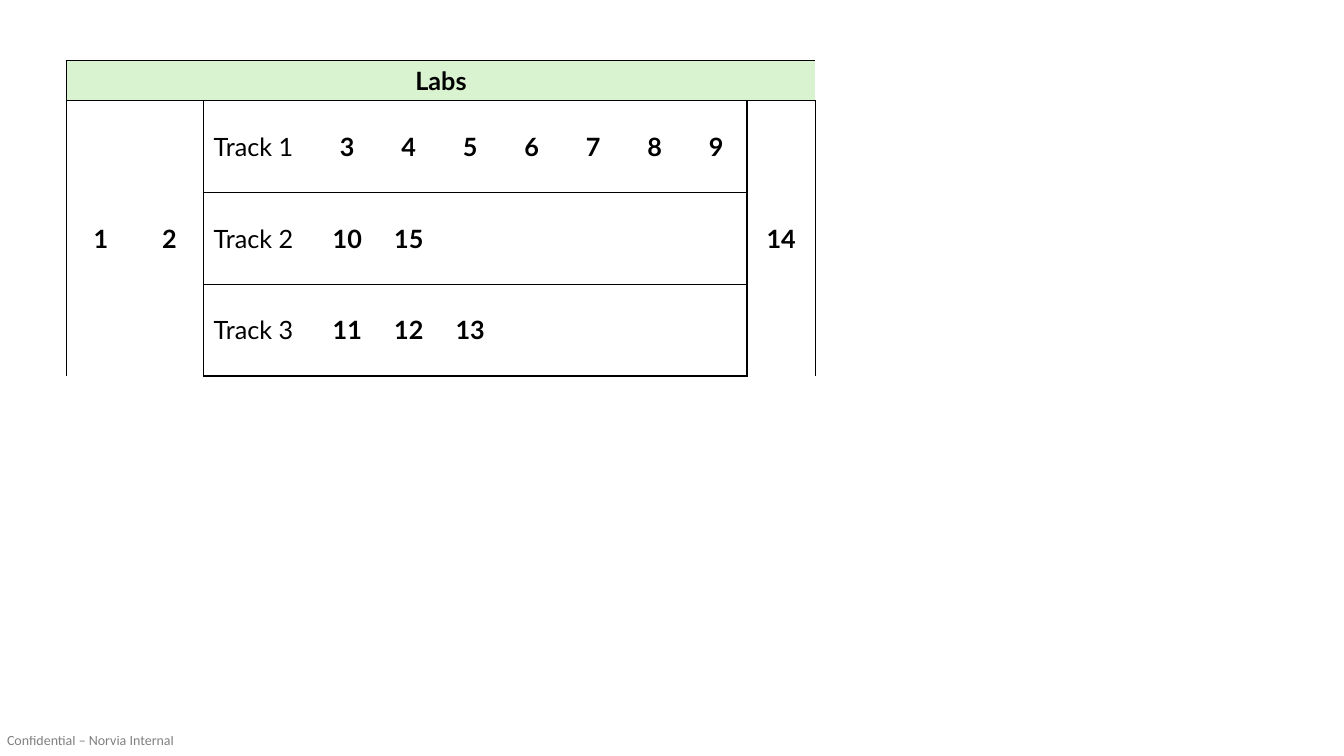
import pptx
import pptx.dml.color
import pptx.enum.text
import pptx.oxml
import pptx.oxml.ns
import pptx.util
from lxml import etree

Inches = pptx.util.Inches
Pt = pptx.util.Pt
Align = pptx.enum.text.PP_ALIGN
Anchor = pptx.enum.text.MSO_ANCHOR

BLACK, WHITE, GREEN = "000000", "FFFFFF", "D9F2D0"

COLUMN_WIDTHS = [0.68, 0.68, 1.12] + [0.61] * 7 + [0.68]
ROW_HEIGHTS = [0.4] + [0.91] * 3
TRACK_COLUMNS = range(2, 10)
LAST_ROW, LAST_COLUMN = len(ROW_HEIGHTS) - 1, len(COLUMN_WIDTHS) - 1

# Labs shared by all tracks, by column, and the labs of each track
SHARED_LABS = {0: 1, 1: 2, LAST_COLUMN: 14}
TRACK_LABS = [range(3, 10), [10, 15], [11, 12, 13]]


def color(hex_string):
    return pptx.dml.color.RGBColor.from_string(hex_string)


def cell_borders(row, column):
    """Tell which sides of a cell carry a line."""
    if row == 0:
        return {"L": column == 0, "R": column == LAST_COLUMN, "T": True, "B": True}
    in_track = column in TRACK_COLUMNS
    return {
        "L": column in (0, TRACK_COLUMNS[0], LAST_COLUMN),
        "R": column in (1, TRACK_COLUMNS[-1], LAST_COLUMN),
        "T": in_track or row == 1,
        "B": in_track or row == LAST_ROW,
    }


class SlideBuilder:
    table_font, footer_font = "Lato", "Calibri"

    def __init__(self, presentation):
        self.slide = presentation.slides.add_slide(presentation.slide_layouts[6])

    def style_run(self, run, font_name, size, bold=False):
        run.font.name = font_name
        run.font.size = Pt(size)
        run.font.bold = bold
        run.font.color.rgb = color(BLACK)

    def footer(self, text, left, top, width, height):
        box = self.slide.shapes.add_textbox(
            Inches(left), Inches(top), Inches(width), Inches(height))
        frame = box.text_frame
        frame.margin_left = frame.margin_right = 0
        frame.margin_top = frame.margin_bottom = 0
        frame.text = text
        run = frame.paragraphs[0].runs[0]
        self.style_run(run, self.footer_font, 10)
        # Half-transparent text
        fill_color = run.font.fill._xPr.find(".//" + pptx.oxml.ns.qn("a:srgbClr"))
        etree.SubElement(fill_color, pptx.oxml.ns.qn("a:alpha"), val="50000")

    def table(self, left, top):
        frame = self.slide.shapes.add_table(
            len(ROW_HEIGHTS), len(COLUMN_WIDTHS), Inches(left), Inches(top),
            Inches(sum(COLUMN_WIDTHS)), Inches(sum(ROW_HEIGHTS)))
        table = frame.table
        table.first_row = table.horz_banding = False
        for column, width in zip(table.columns, COLUMN_WIDTHS):
            column.width = Inches(width)
        for row, height in zip(table.rows, ROW_HEIGHTS):
            row.height = Inches(height)
        for row in range(len(ROW_HEIGHTS)):
            for column in range(len(COLUMN_WIDTHS)):
                cell = table.cell(row, column)
                self.borders(cell, cell_borders(row, column))
                cell.fill.solid()
                cell.fill.fore_color.rgb = color(WHITE if row else GREEN)
        return table

    def borders(self, cell, sides):
        properties = cell._tc.get_or_add_tcPr()
        for side, visible in sides.items():
            paint = (f'<a:solidFill><a:srgbClr val="{BLACK}"/></a:solidFill>'
                     if visible else "<a:noFill/>")
            properties.append(pptx.oxml.parse_xml(
                f'<a:ln{side} {pptx.oxml.ns.nsdecls("a")} w="{Pt(1)}">{paint}</a:ln{side}>'))

    def cell_text(self, cell, text, bold=True, align=Align.CENTER, anchor=Anchor.MIDDLE):
        cell.text_frame.text = str(text)
        cell.vertical_anchor = anchor
        paragraph = cell.text_frame.paragraphs[0]
        paragraph.alignment = align
        self.style_run(paragraph.runs[0], self.table_font, 18, bold)


def main():
    presentation = pptx.Presentation()
    presentation.slide_width = Inches(13.33)
    presentation.slide_height = Inches(7.5)
    builder = SlideBuilder(presentation)

    builder.footer("Confidential – Norvia Internal", 0.07, 7.26, 1.69, 0.17)

    # Header across the table
    table = builder.table(0.66, 0.6)
    table.cell(0, 0).merge(table.cell(0, LAST_COLUMN))
    builder.cell_text(table.cell(0, 0), "Labs", anchor=Anchor.TOP)

    # Shared labs span all tracks
    for column, lab in SHARED_LABS.items():
        table.cell(1, column).merge(table.cell(LAST_ROW, column))
        builder.cell_text(table.cell(1, column), lab)

    # One row per track
    for row, labs in enumerate(TRACK_LABS, start=1):
        builder.cell_text(table.cell(row, TRACK_COLUMNS[0]), f"Track {row}",
                          bold=False, align=Align.LEFT)
        for column, lab in zip(TRACK_COLUMNS[1:], labs):
            builder.cell_text(table.cell(row, column), lab)

    presentation.save("out.pptx")


if __name__ == "__main__":
    main()
